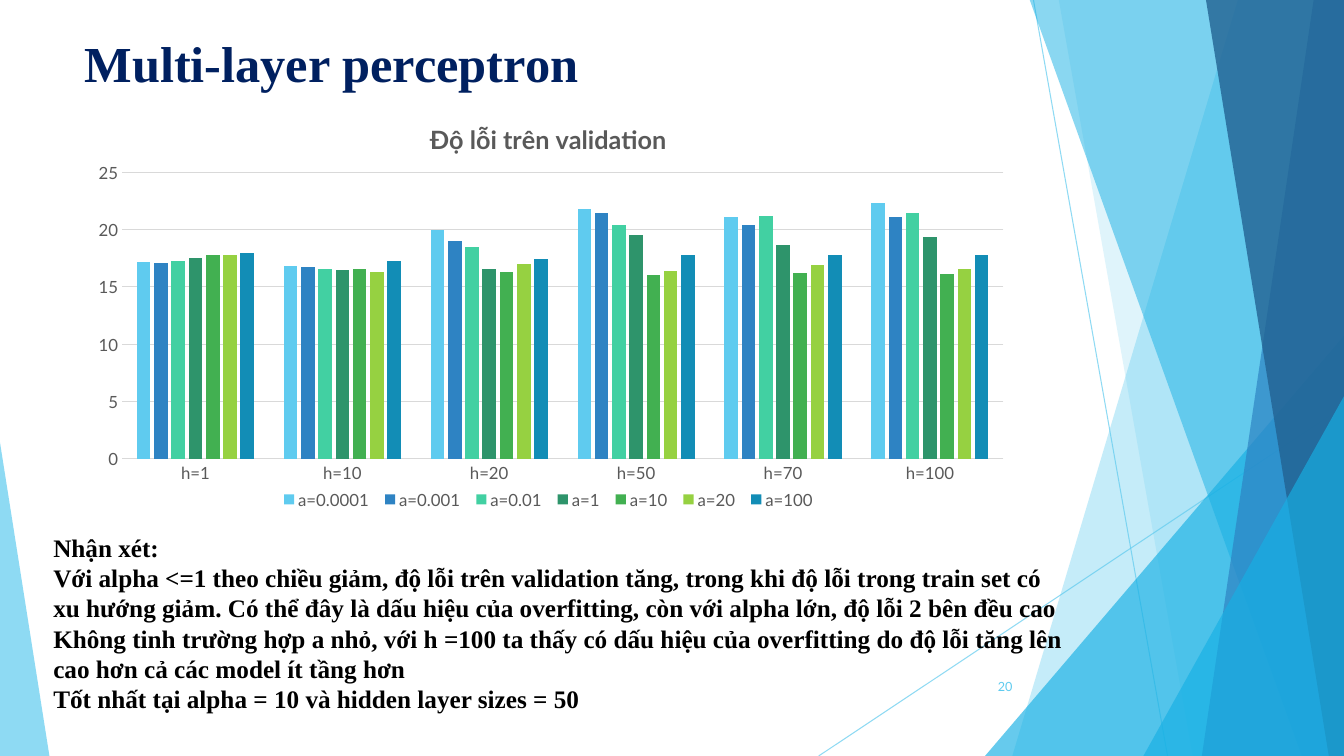
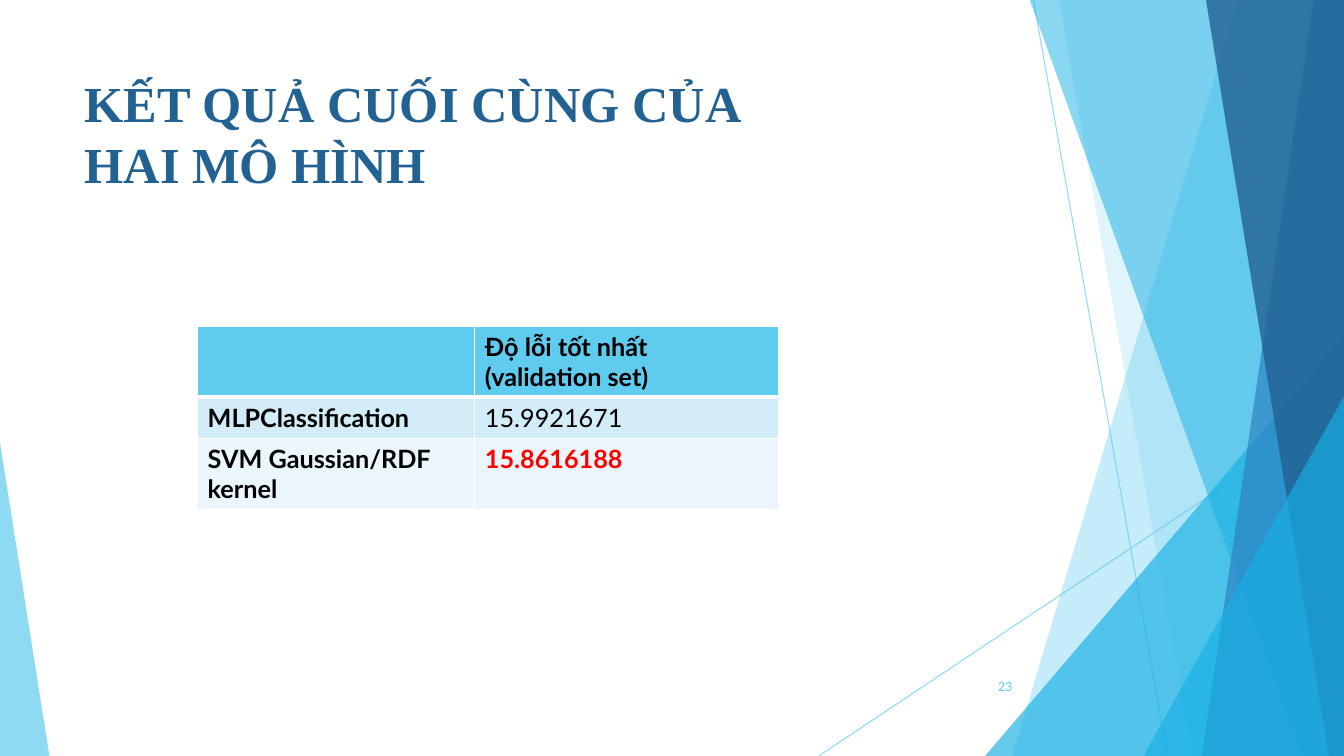
from lxml import etree
from pptx import Presentation
from pptx.chart.data import CategoryChartData
from pptx.dml.color import RGBColor
from pptx.enum.chart import XL_CHART_TYPE, XL_LEGEND_POSITION, XL_TICK_MARK
from pptx.enum.shapes import MSO_CONNECTOR, MSO_SHAPE
from pptx.enum.text import MSO_ANCHOR, PP_ALIGN
from pptx.oxml import parse_xml
from pptx.oxml.ns import nsdecls, qn
from pptx.util import Pt

PX = 9144  # 100 px to the inch
WIDTH, HEIGHT = 1333, 750

STRAIGHT = MSO_CONNECTOR.STRAIGHT
TRIANGLE = MSO_SHAPE.ISOSCELES_TRIANGLE
COLUMNS = XL_CHART_TYPE.COLUMN_CLUSTERED
BOTTOM = XL_LEGEND_POSITION.BOTTOM
NO_TICK = XL_TICK_MARK.NONE
TOP, MIDDLE = MSO_ANCHOR.TOP, MSO_ANCHOR.MIDDLE
LEFT, RIGHT = PP_ALIGN.LEFT, PP_ALIGN.RIGHT

SKY = RGBColor(0x5F, 0xCB, 0xEF)
CYAN = RGBColor(0x17, 0xB0, 0xE4)
BLUE = RGBColor(0x2E, 0x83, 0xC3)
DEEP_BLUE = RGBColor(0x22, 0x62, 0x92)
NAVY = RGBColor(0x00, 0x20, 0x60)
MINT = RGBColor(0x42, 0xD0, 0xA2)
PINE = RGBColor(0x2E, 0x94, 0x6B)
GREEN = RGBColor(0x42, 0xB0, 0x51)
LIME = RGBColor(0x96, 0xD1, 0x41)
TEAL = RGBColor(0x12, 0x8D, 0xB6)
GRAY = RGBColor(0x59, 0x59, 0x59)
LIGHT_GRAY = RGBColor(0xD9, 0xD9, 0xD9)
PALE = RGBColor(0xD2, 0xEC, 0xF9)
PALEST = RGBColor(0xEA, 0xF6, 0xFC)
WHITE = RGBColor(0xFF, 0xFF, 0xFF)
BLACK = RGBColor(0x00, 0x00, 0x00)
RED = RGBColor(0xFF, 0x00, 0x00)

SERIF, SANS = "Times New Roman", "Lato"

# Thin lines: start x, start y, end x, end y
LINES = [(1025, 0, 1158, HEIGHT), (WIDTH, 403, 812, HEIGHT)]
# Facets from back to front. A band holds its left edge (top x, bottom x) and
# runs to the right side; a triangle holds its box and the place of its apex.
FACETS = [
    ("band", (1228, 1004), SKY, 36),
    ("band", (1050, 1183), SKY, 20),
    ("triangle", (977, 333, 356, 417, 1), CYAN, 66),
    ("band", (1021, 1291), CYAN, 50),
    ("band", (1303, 1192), BLUE, 70),
    ("band", (1196, 1318), DEEP_BLUE, 80),
    ("triangle", (1134, 393, 199, 357, 1), CYAN, 66),
    ("triangle", (0, 439, 49, 311, 0), SKY, 70),
]

CHART_TITLE = "Độ lỗi trên validation"
CATEGORIES = ["h=1", "h=10", "h=20", "h=50", "h=70", "h=100"]
SERIES = [
    ("a=0.0001", SKY, (17.2, 16.8, 20, 21.8, 21.1, 22.3)),
    ("a=0.001", BLUE, (17.1, 16.7, 19, 21.5, 20.4, 21.1)),
    ("a=0.01", MINT, (17.3, 16.6, 18.5, 20.4, 21.2, 21.5)),
    ("a=1", PINE, (17.5, 16.5, 16.6, 19.5, 18.7, 19.4)),
    ("a=10", GREEN, (17.8, 16.6, 16.3, 16, 16.2, 16.1)),
    ("a=20", LIME, (17.8, 16.3, 17, 16.4, 16.9, 16.6)),
    ("a=100", TEAL, (18, 17.3, 17.4, 17.8, 17.8, 17.8)),
]
REMARKS = [
    "Nhận xét:",
    "Với alpha <=1 theo chiều giảm, độ lỗi trên validation tăng, trong khi độ lỗi "
    "trong train set có xu hướng giảm. Có thể đây là dấu hiệu của overfitting, "
    "còn với alpha lớn, độ lỗi 2 bên đều cao",
    "Không tinh trường hợp a nhỏ, với h =100 ta thấy có dấu hiệu của overfitting "
    "do độ lỗi tăng lên cao hơn cả các model ít tầng hơn",
    "Tốt nhất tại alpha = 10 và hidden layer sizes = 50",
]

COLUMN_WIDTHS = [275, 301]
# Row height, fill, cells as (text, bold, colour)
RESULT_ROWS = [
    (69, SKY, [("", True, BLACK), ("Độ lỗi tốt nhất (validation set)", True, BLACK)]),
    (41, PALE, [("MLPClassification", True, BLACK), ("15.9921671", False, BLACK)]),
    (71, PALEST, [("SVM Gaussian/RDF kernel", True, BLACK), ("15.8616188", True, RED)]),
]


def px(*lengths):
    return [length * PX for length in lengths]


def set_font(font, name, size, color, bold=False):
    font.name, font.size, font.bold = name, Pt(size), bold
    font.color.rgb = color


def set_opacity(element, percent):
    color = next(element.iter(qn("a:srgbClr")))
    etree.SubElement(color, qn("a:alpha"), val=str(percent * 1000))


def add_text(slide, box, lines, name, size, color, bold=False, anchor=TOP, align=LEFT):
    frame = slide.shapes.add_textbox(*px(*box)).text_frame
    frame.word_wrap = True
    frame.vertical_anchor = anchor
    frame.text = "\n".join(lines)
    for paragraph in frame.paragraphs:
        paragraph.alignment = align
        for run in paragraph.runs:
            set_font(run.font, name, size, color, bold)


def add_line(slide, ends):
    line = slide.shapes.add_connector(STRAIGHT, *px(*ends))
    line.line.color.rgb = SKY
    line.line.width = Pt(0.75)
    properties = line._element.spPr
    set_opacity(properties, 70)
    etree.SubElement(properties, qn("a:effectLst"))


def add_band(slide, edge):
    top_x, bottom_x = edge
    builder = slide.shapes.build_freeform(top_x, -1, scale=PX)
    builder.add_line_segments([(WIDTH, -1), (WIDTH, HEIGHT), (bottom_x, HEIGHT)])
    return builder.convert_to_shape()


def add_triangle(slide, geometry):
    *box, apex = geometry
    shape = slide.shapes.add_shape(TRIANGLE, *px(*box))
    shape.adjustments[0] = apex
    return shape


def add_base_slide(presentation, title, title_top, title_color, number):
    """Add a blank slide with the facets, the title and the slide number."""
    slide = presentation.slides.add_slide(presentation.slide_layouts[6])
    for ends in LINES:
        add_line(slide, ends)
    for kind, geometry, color, opacity in FACETS:
        shape = (add_band if kind == "band" else add_triangle)(slide, geometry)
        shape.shadow.inherit = False
        shape.fill.solid()
        shape.fill.fore_color.rgb = color
        set_opacity(shape._element.spPr, opacity)
        shape.line.fill.background()
    add_text(slide, (74, title_top, 940, 144), [title], SERIF, 36, title_color, True)
    add_text(slide, (939, 661, 75, 40), [str(number)], SANS, 9, SKY,
             anchor=MIDDLE, align=RIGHT)
    return slide


def place_chart_part(element, index, **fractions):
    """Fix a chart part at x, y (and w, h) as fractions of the chart area."""
    for old in element.findall(qn("c:layout")):
        element.remove(old)
    layout = etree.Element(qn("c:layout"))
    manual = etree.SubElement(layout, qn("c:manualLayout"))
    if element.tag == qn("c:plotArea"):
        etree.SubElement(manual, qn("c:layoutTarget"), val="inner")
    for side in "xy":
        etree.SubElement(manual, qn(f"c:{side}Mode"), val="edge")
    for side, fraction in fractions.items():
        etree.SubElement(manual, qn(f"c:{side}"), val=str(fraction))
    element.insert(index, layout)


def add_error_chart(slide):
    data = CategoryChartData()
    data.categories = CATEGORIES
    for name, _, values in SERIES:
        data.add_series(name, values)
    chart = slide.shapes.add_chart(COLUMNS, *px(74, 99, 940, 424), data).chart
    set_font(chart.font, SANS, 12, GRAY)

    chart.has_title = True
    title_frame = chart.chart_title.text_frame
    title_frame.text = CHART_TITLE
    set_font(title_frame.paragraphs[0].runs[0].font, SANS, 18, GRAY, True)
    place_chart_part(chart.chart_title._element, 1, x=0.37, y=0.04)

    chart.has_legend = True
    chart.legend.position = BOTTOM
    chart.legend.include_in_layout = False
    set_font(chart.legend.font, SANS, 12, GRAY)
    place_chart_part(chart.legend._element, 1, x=0.21, y=0.9, w=0.58, h=0.07)

    plot = chart.plots[0]
    plot.vary_by_categories = False
    plot.gap_width, plot.overlap = 219, -27
    for series, (_, color, _) in zip(plot.series, SERIES):
        series.format.fill.solid()
        series.format.fill.fore_color.rgb = color
    plot_area = next(chart._chartSpace.iter(qn("c:plotArea")))
    place_chart_part(plot_area, 0, x=0.05, y=0.17, w=0.93, h=0.67)

    value_axis, category_axis = chart.value_axis, chart.category_axis
    for axis in (value_axis, category_axis):
        axis.major_tick_mark = axis.minor_tick_mark = NO_TICK
        set_font(axis.tick_labels.font, SANS, 12, GRAY)
    value_axis.minimum_scale, value_axis.maximum_scale = 0, 25
    value_axis.major_unit = 5
    value_axis.format.line.fill.background()
    value_axis.has_major_gridlines = True
    for item in (value_axis.major_gridlines, category_axis):
        item.format.line.color.rgb = LIGHT_GRAY
        item.format.line.width = Pt(0.75)


def set_borders(cell, top, bottom):
    """Draw white cell borders; top and bottom are widths in points."""
    widths = {"lnL": 1, "lnR": 1, "lnT": top, "lnB": bottom}
    for index, (side, width) in enumerate(widths.items()):
        border = parse_xml(
            f'<a:{side} {nsdecls("a")} w="{Pt(width)}"><a:solidFill>'
            f'<a:srgbClr val="{WHITE}"/></a:solidFill></a:{side}>')
        cell._tc.get_or_add_tcPr().insert(index, border)


def add_result_table(slide):
    size = sum(COLUMN_WIDTHS), sum(height for height, _, _ in RESULT_ROWS)
    table = slide.shapes.add_table(
        len(RESULT_ROWS), len(COLUMN_WIDTHS), *px(196, 324, *size)).table
    for column, width in zip(table.columns, COLUMN_WIDTHS):
        column.width = width * PX
    for row_index, (height, fill, cells) in enumerate(RESULT_ROWS):
        table.rows[row_index].height = height * PX
        for column_index, (text, bold, color) in enumerate(cells):
            cell = table.cell(row_index, column_index)
            cell.fill.solid()
            cell.fill.fore_color.rgb = fill
            set_borders(cell, 3 if row_index == 1 else 1, 3 if row_index == 0 else 1)
            cell.text = text
            set_font(cell.text_frame.paragraphs[0].font, SANS, 18, color, bold)
            for run in cell.text_frame.paragraphs[0].runs:
                set_font(run.font, SANS, 18, color, bold)


def main():
    presentation = Presentation()
    presentation.slide_width, presentation.slide_height = px(WIDTH, HEIGHT)

    perceptron = add_base_slide(presentation, "Multi-layer perceptron", 27, NAVY, 20)
    add_error_chart(perceptron)
    add_text(perceptron, (43, 523, 1032, 192), REMARKS, SERIF, 18, BLACK, True)

    results = add_base_slide(
        presentation, "KẾT QUẢ CUỐI CÙNG CỦA\vHAI MÔ HÌNH", 67, DEEP_BLUE, 23)
    add_result_table(results)

    presentation.save("out.pptx")


if __name__ == "__main__":
    main()
